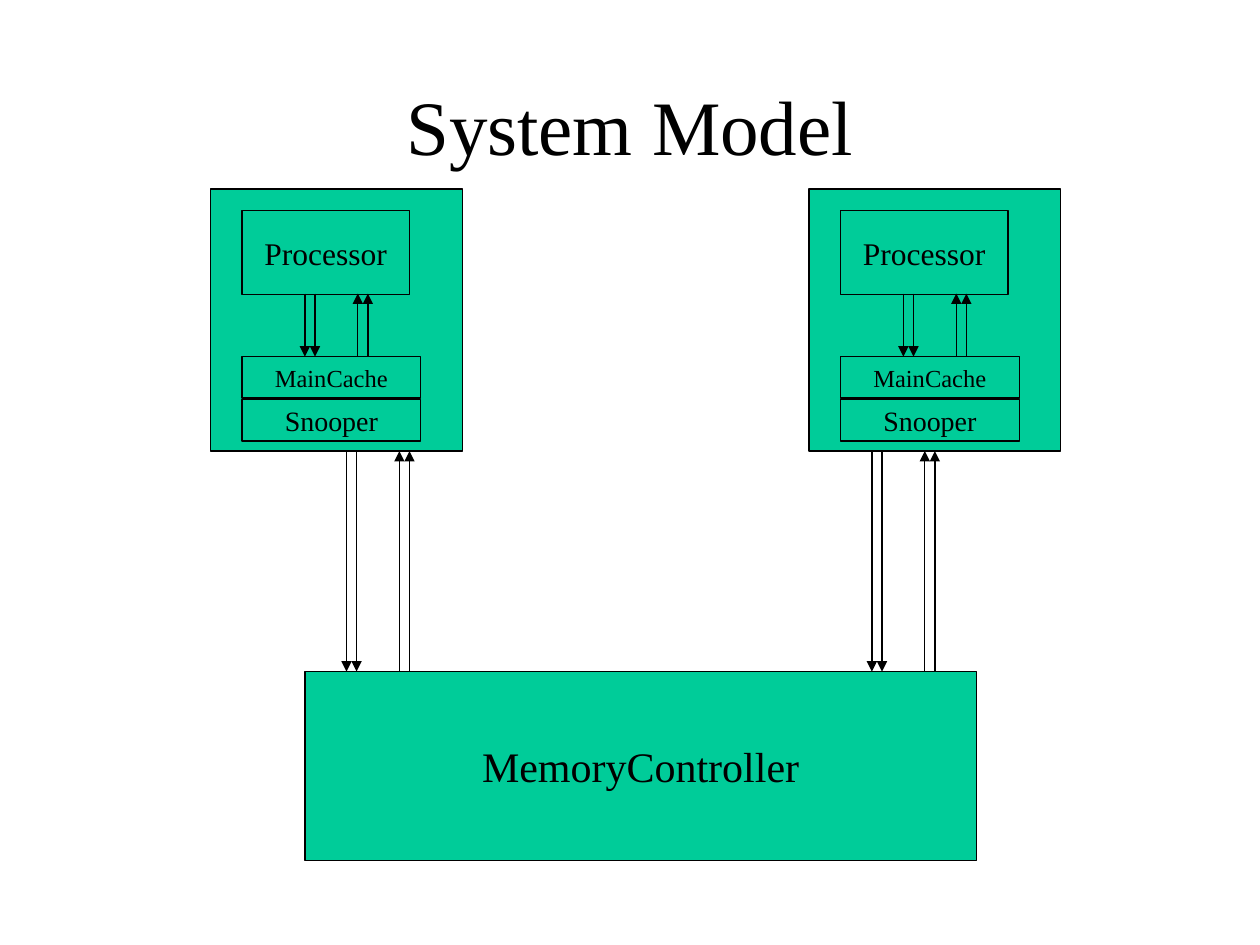
from lxml import etree
from pptx import Presentation
from pptx.dml.color import RGBColor
from pptx.enum.shapes import MSO_CONNECTOR, MSO_SHAPE
from pptx.enum.text import MSO_ANCHOR, PP_ALIGN
from pptx.oxml.ns import qn
from pptx.util import Inches, Pt

RECTANGLE = MSO_SHAPE.RECTANGLE
STRAIGHT = MSO_CONNECTOR.STRAIGHT
MIDDLE, TOP = MSO_ANCHOR.MIDDLE, MSO_ANCHOR.TOP
CENTER = PP_ALIGN.CENTER
BOTTOM_SIDE = 2


def color(value):
    return RGBColor.from_string(value)


class SlideBuilder:
    font_name = "Times New Roman"
    ink = "000000"
    fill = "00CC99"
    line_width = Pt(0.75)

    def __init__(self, page):
        self.page = page

    def label(self, box, text, size, **frame_format):
        frame = box.text_frame
        for name, value in frame_format.items():
            setattr(frame, name, value)
        para = frame.paragraphs[0]
        para.alignment = CENTER
        span = para.add_run()
        span.text = text
        for name, value in {"name": self.font_name, "size": Pt(size)}.items():
            setattr(span.font, name, value)
        span.font.color.rgb = color(self.ink)

    def outline(self, item):
        item.line.color.rgb = color(self.ink)
        item.line.width = self.line_width

    def title(self, text, left, top, width, height, size):
        box = self.page.shapes.add_textbox(*map(Inches, (left, top, width, height)))
        self.label(box, text, size, word_wrap=True, vertical_anchor=TOP, margin_top=0)

    def block(self, left, top, width, height, text=None, size=None):
        box = self.page.shapes.add_shape(
            RECTANGLE, *map(Inches, (left, top, width, height)))
        box.shadow.inherit = False
        box.fill.solid()
        box.fill.fore_color.rgb = color(self.fill)
        self.outline(box)
        if text:
            self.label(box, text, size, word_wrap=False, vertical_anchor=MIDDLE)
        return box

    def arrow(self, x, start, end):
        line = self.page.shapes.add_connector(
            STRAIGHT, *map(Inches, (x, start, x, end)))
        self.outline(line)
        properties = line.element.spPr
        etree.SubElement(properties.find(qn("a:ln")), qn("a:tailEnd"), type="triangle")
        etree.SubElement(properties, qn("a:effectLst"))
        return line

    def channel(self, left, upper, lower):
        """Two arrows down, then two arrows up; returns the last one."""
        for offset in (0, 0.08):
            self.arrow(left + offset, upper, lower)
        for offset in (0.42, 0.5):
            last = self.arrow(left + offset, lower, upper)
        return last

    def node(self, left):
        outer = self.block(left, 1.5, 2, 2.08)
        inner_left = left + 0.25
        self.block(inner_left, 1.67, 1.33, 0.67, "Processor", 18)
        self.block(inner_left, 2.83, 1.42, 0.33, "MainCache", 14)
        self.block(inner_left, 3.17, 1.42, 0.33, "Snooper", 16)
        self.channel(left + 0.75, 2.33, 2.83)
        return outer


def main():
    deck = Presentation()
    deck.slide_width, deck.slide_height = Inches(10), Inches(7.5)
    builder = SlideBuilder(deck.slides.add_slide(deck.slide_layouts[6]))

    # Shared memory controller
    builder.block(2.42, 5.33, 5.33, 1.5, "MemoryController", 24)

    # Processor nodes
    builder.node(1.67)
    right_node = builder.node(6.42)

    # Channels between the nodes and memory
    builder.channel(2.75, 3.58, 5.33)
    last_arrow = builder.channel(6.92, 3.58, 5.33)
    last_arrow.end_connect(right_node, BOTTOM_SIDE)

    # Title
    builder.title("System Model", 0.75, 0.62, 8.5, 1.25, 44)

    deck.save("out.pptx")


if __name__ == "__main__":
    main()
